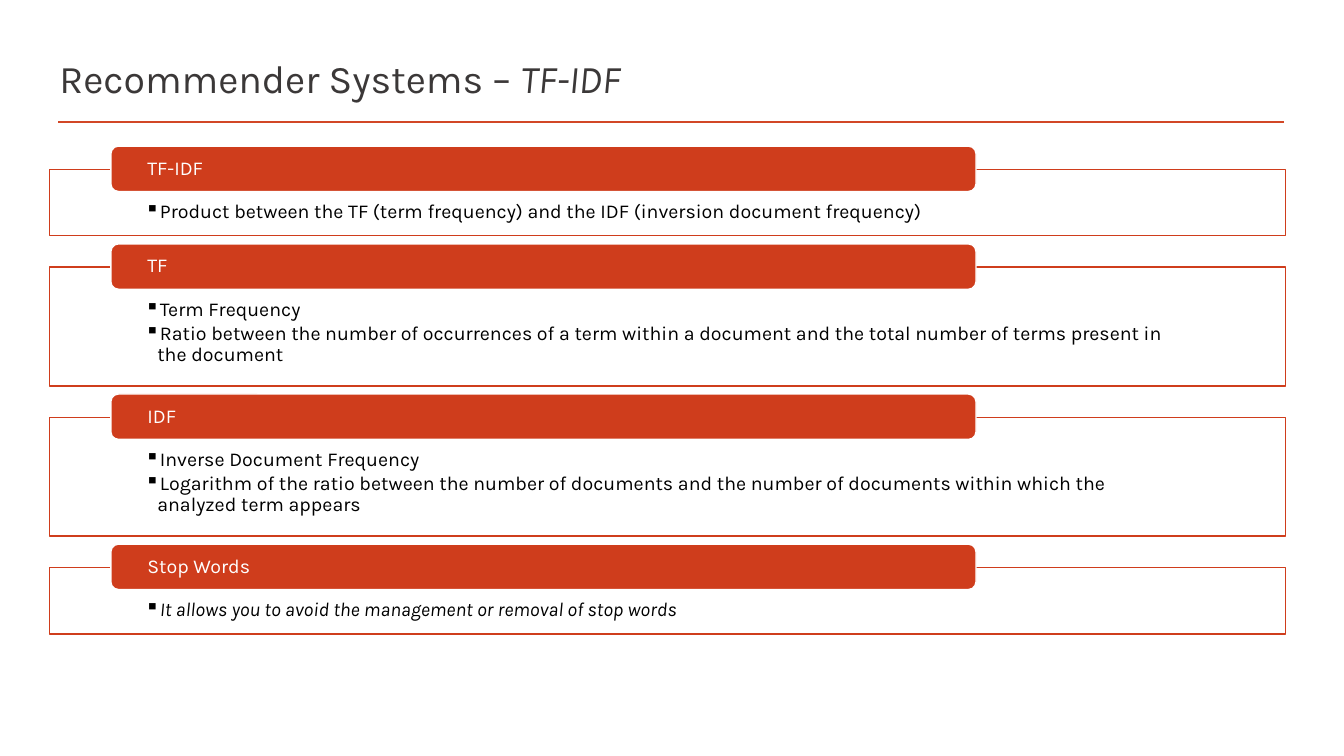
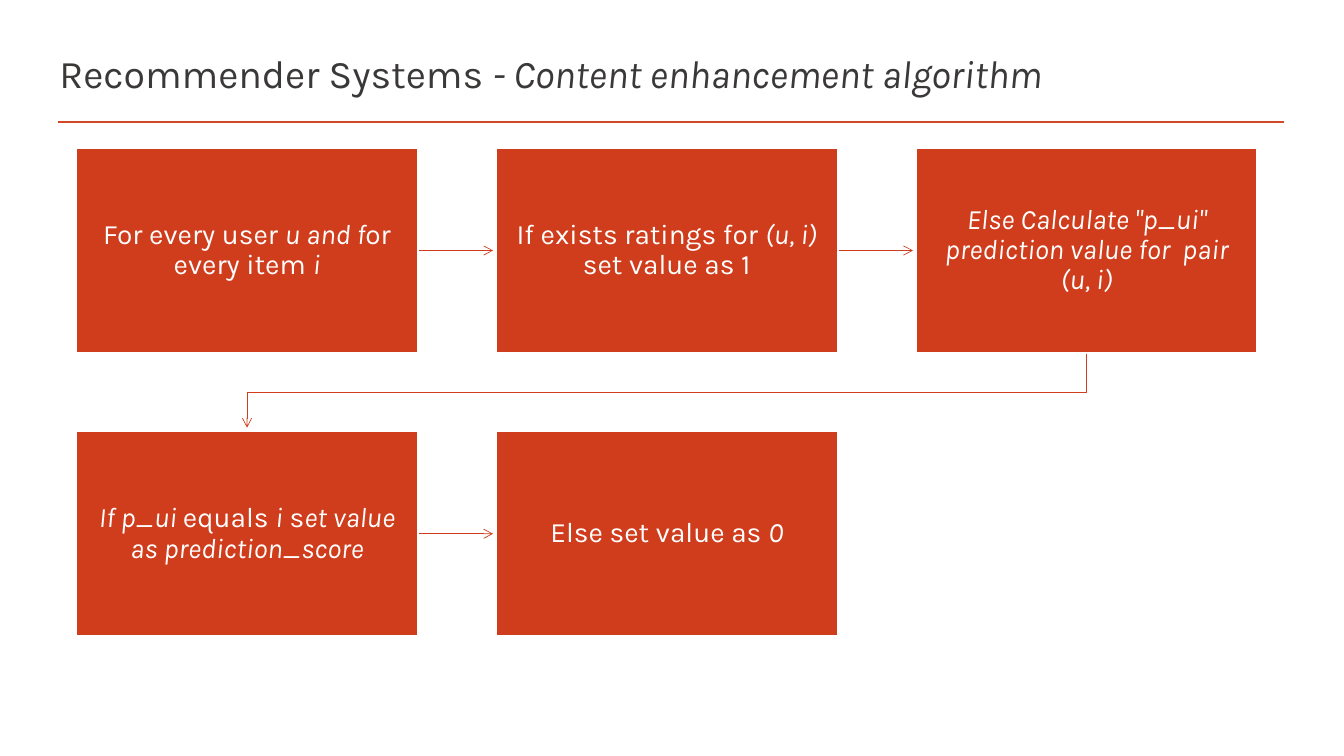
from lxml import etree
from pptx import Presentation, util as u
from pptx.dml.color import RGBColor
from pptx.enum import shapes, text
from pptx.oxml.ns import qn

COLORS = {
    "rule": "D24726",
    "accent": "CF3D1C",
    "title": "3B3838",
    "body": "000000",
    "paper": "FFFFFF",
}
FONT = "Karla"
LEFT, WIDTH = 3.68, 91.97

TOPICS = [
    ("TF-IDF", 8.8, [
        "Product between the TF (term frequency) and the IDF (inversion document frequency)",
    ]),
    ("TF", 15.73, [
        "Term Frequency",
        "Ratio between the number of occurrences of a term within a document "
        "and the total number of terms present in the document",
    ]),
    ("IDF", 15.73, [
        "Inverse Document Frequency",
        "Logarithm of the ratio between the number of documents and the number "
        "of documents within which the analyzed term appears",
    ]),
    ("Stop Words", 8.8, [
        "*It allows you to avoid the management or removal of stop words*",
    ]),
]

STEPS = [
    "For every user *u and f*or every item *i*",
    "If exists ratings for *(u, i)* set value as 1",
    '*Else Calculate "p_ui" prediction value for  pair (u, i)*',
    "*If p_ui *equals *i* s*et value as prediction_score*",
    "Else set value as *0*",
]


class Deck:
    """Holds the style and the current page; lengths are percent of the slide."""

    def __init__(self):
        self.show = Presentation()
        self.show.slide_width = u.Inches(13.33)
        self.show.slide_height = u.Inches(7.5)
        self.page = None

    def across(self, share):
        return round(self.show.slide_width * share / 100)

    def down(self, share):
        return round(self.show.slide_height * share / 100)

    def area(self, left, top, width, height):
        return self.across(left), self.down(top), self.across(width), self.down(height)

    def color(self, name):
        return RGBColor.from_string(COLORS[name])

    def stroke(self, shape, color, points):
        shape.line.color.rgb = self.color(color)
        shape.line.width = u.Pt(points)

    def start(self, title, top):
        self.page = self.show.slides.add_slide(self.show.slide_layouts[6])
        self.line((4.35, 16.13), (95.57, 16.13), "rule", 2)
        box = self.page.shapes.add_textbox(*self.area(LEFT, top, WIDTH, 8.13))
        self.set_text(box, [title], 28, "title", spacing=1)

    def set_text(self, box, lines, size, color, insets=(0.1, 0.05, 0.1, 0.05),
                 anchor=text.MSO_ANCHOR.MIDDLE, align=text.PP_ALIGN.LEFT,
                 spacing=0.9, bullet=None):
        frame = box.text_frame
        frame.word_wrap = True
        frame.vertical_anchor = anchor
        (frame.margin_left, frame.margin_top,
         frame.margin_right, frame.margin_bottom) = map(u.Inches, insets)
        for index, line in enumerate(lines):
            para = frame.add_paragraph() if index else frame.paragraphs[0]
            if bullet:
                self.bullet(para, bullet)
            para.alignment = align
            para.line_spacing = spacing
            para.space_after = u.Pt(2 if bullet else 0)
            for order, piece in enumerate(line.split("*")):
                if piece:
                    span = para.add_run()
                    span.text = piece
                    span.font.name = FONT
                    span.font.size = u.Pt(size)
                    span.font.italic = order % 2 == 1
                    span.font.color.rgb = self.color(color)

    def bullet(self, para, mark):
        props = para._p.get_or_add_pPr()
        props.set("marL", str(u.Inches(0.12)))
        props.set("indent", str(-u.Inches(0.12)))
        etree.SubElement(props, qn("a:buChar")).set("char", mark)

    def box(self, kind, area, fill, line):
        shape = self.page.shapes.add_shape(kind, *self.area(*area))
        shape.shadow.inherit = False
        shape.fill.solid()
        shape.fill.fore_color.rgb = self.color(fill)
        self.stroke(shape, line, 1)
        return shape

    def line(self, start, end, color, points):
        line = self.page.shapes.add_connector(
            shapes.MSO_CONNECTOR.STRAIGHT,
            self.across(start[0]), self.down(start[1]),
            self.across(end[0]), self.down(end[1]))
        self.stroke(line, color, points)
        etree.SubElement(line._element.spPr, qn("a:effectLst"))
        return line

    def arrowhead(self, shape):
        outline = shape._element.spPr.find(qn("a:ln"))
        etree.SubElement(outline, qn("a:tailEnd")).set("type", "arrow")

    def arrow(self, start, end):
        self.arrowhead(self.line(start, end, "accent", 0.5))

    def bent_arrow(self, points):
        first, *rest = [(self.across(x), self.down(y)) for x, y in points]
        builder = self.page.shapes.build_freeform(*first)
        builder.add_line_segments(rest, close=False)
        shape = builder.convert_to_shape()
        shape.shadow.inherit = False
        shape.fill.background()
        self.stroke(shape, "accent", 0.5)
        self.arrowhead(shape)

    def topic(self, heading, lines, top, height):
        panel = self.box(shapes.MSO_SHAPE.RECTANGLE, (LEFT, top, WIDTH, height),
                         "paper", "accent")
        self.set_text(panel, lines, 14, "body", (0.95, 0.32, 0.95, 0.11),
                      text.MSO_ANCHOR.TOP, bullet="▪")
        bar = self.box(shapes.MSO_SHAPE.ROUNDED_RECTANGLE, (8.25, top - 3.07, 64.37, 6),
                       "accent", "paper")
        self.set_text(bar, [heading], 14, "paper", (0.34, 0, 0.34, 0))

    def card(self, line, area):
        card = self.box(shapes.MSO_SHAPE.RECTANGLE, area, "accent", "paper")
        self.set_text(card, [line], 20, "paper", (0.16,) * 4, align=text.PP_ALIGN.CENTER)

    def flow(self, steps, columns=3, left=5.7, top=19.6, width=25.36, height=27.07,
             column_step=31.24, row_step=37.47):
        spots = [(left + index % columns * column_step, top + index // columns * row_step)
                 for index in range(len(steps))]
        for step, (x, y) in zip(steps, spots):
            self.card(step, (x, y, width, height))
        for (x, y), (next_x, next_y) in zip(spots, spots[1:]):
            if y == next_y:
                middle = y + height / 2
                self.arrow((x + width + 0.1, middle), (next_x - 0.25, middle))
            else:
                turn = (y + height + next_y) / 2
                begin, finish = x + width / 2, next_x + width / 2
                self.bent_arrow([(begin, y + height + 0.2), (begin, turn),
                                 (finish, turn), (finish, next_y - 0.5)])


def main():
    deck = Deck()
    deck.start("Recommender Systems – *TF-IDF*", 6.27)
    top = 22.4
    for heading, height, lines in TOPICS:
        deck.topic(heading, lines, top, height)
        top += height + 4.13
    deck.start("Recommender Systems *- Content enhancement algorithm*", 5.6)
    deck.flow(STEPS)
    deck.show.save("out.pptx")


if __name__ == "__main__":
    main()
